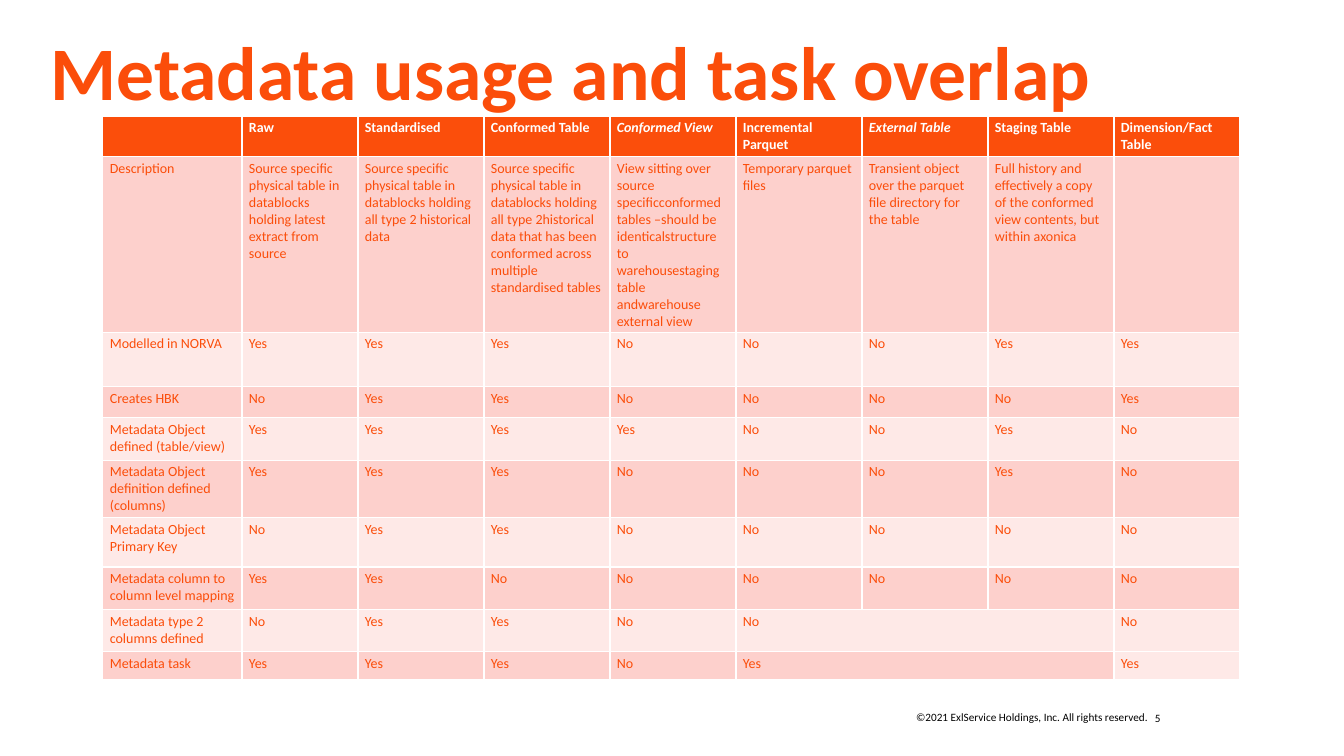
import pptx
import pptx.util
import pptx.dml.color
import pptx.enum.text
import pptx.oxml.ns
import lxml.etree

Pt = pptx.util.Pt
RGB = pptx.dml.color.RGBColor
ALIGN = pptx.enum.text.PP_ALIGN

ORANGE = RGB(0xFB, 0x4D, 0x0A)
HEADER = RGB(0xFB, 0x4E, 0x0B)
PINK = RGB(0xFD, 0xD0, 0xCC)
PALE = RGB(0xFE, 0xE9, 0xE7)
WHITE = RGB(255, 255, 255)
BLACK = RGB(0, 0, 0)

WIDTHS = [99.36, 82.8] + [90] * 7
HEIGHTS = [28.8, 83.52, 38.88, 22.32, 30.24, 35.28, 35.28, 30.24, 30.24, 20.16]
ITALIC = ("Conformed View", "External Table")
ROWS = [
    ["", "Raw", "Standardised", "Conformed Table", "Conformed View",
     "Incremental Parquet", "External Table", "Staging Table",
     "Dimension/Fact Table"],
    ["Description",
     "Source specific physical table in datablocks holding latest extract from source",
     "Source specific physical table in datablocks holding all type 2 historical data",
     "Source specific physical table in datablocks holding all type 2historical data "
     "that has been conformed across multiple standardised tables",
     "View sitting over source specificconformed tables –should be identicalstructure "
     "to warehousestaging table andwarehouse external view",
     "Temporary parquet files",
     "Transient object over the parquet file directory for the table",
     "Full history and effectively a copy of the conformed view contents, "
     "but within axonica",
     ""],
]
ANSWERS = [
    ("Modelled in NORVA", "Yes Yes Yes No No No Yes Yes"),
    ("Creates HBK", "No Yes Yes No No No No Yes"),
    ("Metadata Object defined (table/view)", "Yes Yes Yes Yes No No Yes No"),
    ("Metadata Object definition defined (columns)", "Yes Yes Yes No No No Yes No"),
    ("Metadata Object Primary Key", "No Yes Yes No No No No No"),
    ("Metadata column to column level mapping", "Yes Yes No No No No No No"),
    ("Metadata type 2 columns defined", "No Yes Yes No No - - No"),
    ("Metadata task", "Yes Yes Yes No Yes - - Yes"),
]
ROWS += [[label] + marks.split() for label, marks in ANSWERS]


def style(par, size, color, bold=False, italic=False):
    font = par.font
    font.name = "Calibri"
    font.size = Pt(size)
    font.color.rgb = color
    font.bold = bold
    font.italic = italic


def add_text(slide, box, text, size, color, bold=False, align=ALIGN.LEFT):
    frame = slide.shapes.add_textbox(*map(Pt, box)).text_frame
    frame.word_wrap = True
    par = frame.paragraphs[0]
    par.text = text
    par.alignment = align
    style(par, size, color, bold)
    return frame


def add_edges(cell):
    props = cell._tc.get_or_add_tcPr()
    qn = pptx.oxml.ns.qn
    for side in ("a:lnL", "a:lnR", "a:lnT", "a:lnB"):
        line = lxml.etree.SubElement(props, qn(side), w=str(Pt(0.96)))
        fill = lxml.etree.SubElement(line, qn("a:solidFill"))
        lxml.etree.SubElement(fill, qn("a:srgbClr"), val=str(WHITE))


def fill_cell(cell, text, back, color, bold, italic):
    cell.margin_left = cell.margin_right = Pt(5)
    cell.margin_top = cell.margin_bottom = Pt(2.5)
    add_edges(cell)
    cell.fill.solid()
    cell.fill.fore_color.rgb = back
    par = cell.text_frame.paragraphs[0]
    par.text = text
    style(par, 10, color, bold, italic)


def add_grid(slide, left, top):
    box = (left, top, sum(WIDTHS), sum(HEIGHTS))
    grid = slide.shapes.add_table(len(ROWS), len(WIDTHS), *map(Pt, box)).table
    for col, width in zip(grid.columns, WIDTHS):
        col.width = Pt(width)
    for row, height in zip(grid.rows, HEIGHTS):
        row.height = Pt(height)
    last = (len(ROWS) - 1, len(WIDTHS) - 1)
    for r, row in enumerate(ROWS):
        head = r == 0
        for c, text in enumerate(row):
            back = HEADER if head else PINK if r % 2 else PALE
            if (r, c) == last:
                back = PALE
            fill_cell(grid.cell(r, c), "" if text == "-" else text, back,
                      WHITE if head else ORANGE, head, text in ITALIC)
        if "-" in row:
            start = row.index("-") - 1
            grid.cell(r, start).merge(grid.cell(r, start + row.count("-")))


def add_title(slide, box):
    frame = add_text(slide, box, "Metadata usage and task overlap", 54, ORANGE, True)
    frame.margin_left = frame.margin_right = 0
    frame.margin_top = frame.margin_bottom = 0
    frame.paragraphs[0].line_spacing = 0.8


def add_foot(slide, left, top):
    add_text(slide, (left, top, 193, 17.3),
             "©2021 ExlService Holdings, Inc. All rights reserved.",
             8, BLACK, align=ALIGN.RIGHT)
    add_text(slide, (left + 183.6, top + 0.5, 45.4, 17.3), "5", 8, BLACK)


def main():
    deck = pptx.Presentation()
    deck.slide_width = Pt(960)
    deck.slide_height = Pt(540)
    slide = deck.slides.add_slide(deck.slide_layouts[6])
    add_foot(slide, 634.3, 504)
    add_grid(slide, 73.5, 83)
    add_title(slide, (36, 30.2, 888, 73.5))
    deck.save("out.pptx")


if __name__ == "__main__":
    main()
